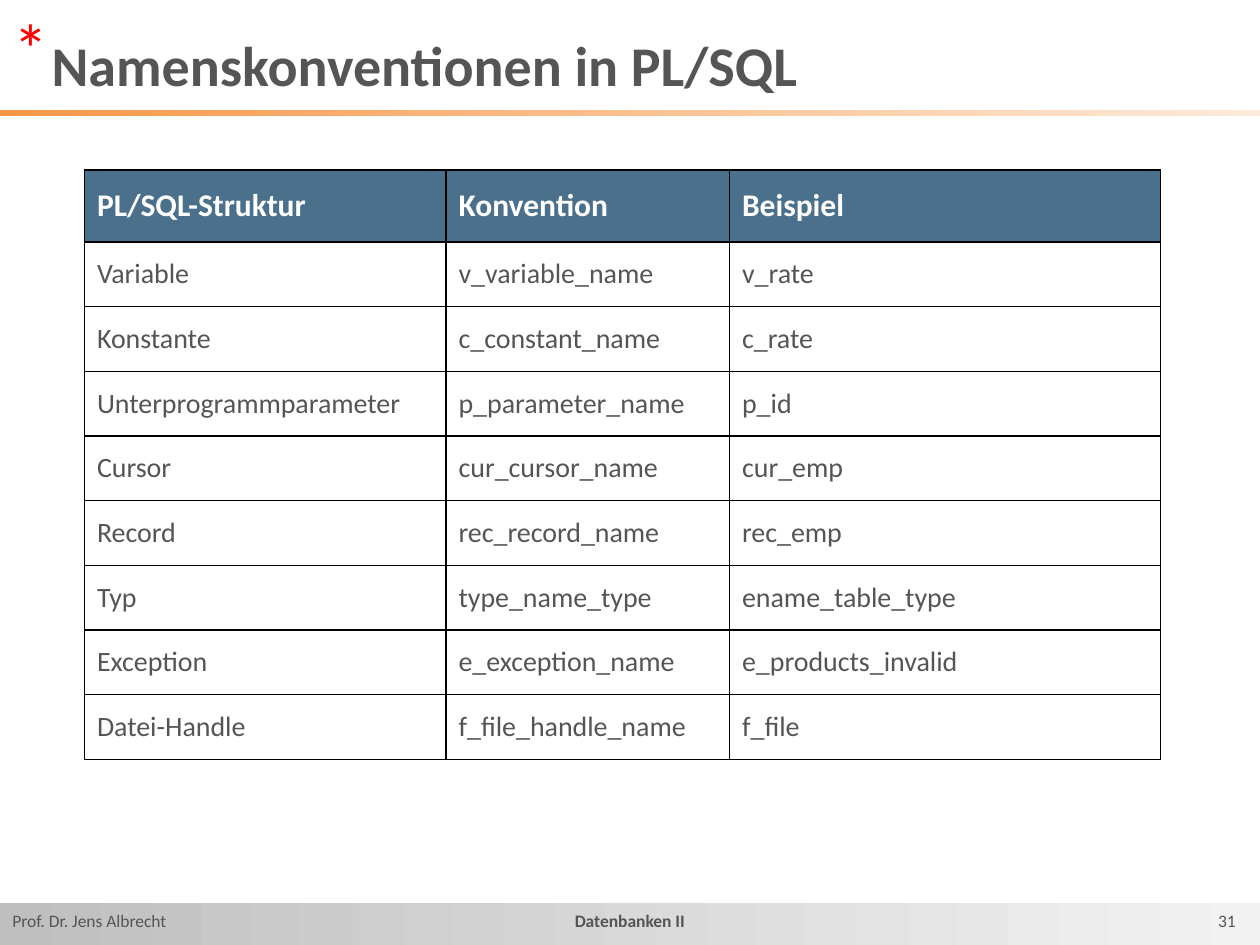
from lxml import etree
from pptx import Presentation
from pptx.dml.color import RGBColor
from pptx.enum.shapes import MSO_SHAPE
from pptx.enum.text import MSO_ANCHOR, PP_ALIGN
from pptx.oxml.ns import qn
from pptx.util import Inches, Pt

RECT = MSO_SHAPE.RECTANGLE
MIDDLE, TOP = MSO_ANCHOR.MIDDLE, MSO_ANCHOR.TOP
LEFT = PP_ALIGN.LEFT
COLORS = {
    "text": "555555", "white": "FFFFFF", "black": "000000", "red": "FF0000",
    "header": "4B708C", "orange": "F79646", "peach": "FDEADA",
    "gray": "BFBFBF", "light_gray": "F2F2F2",
}
ROWS = [
    ("PL/SQL-Struktur", "Konvention", "Beispiel"),
    ("Variable", "v_variable_name", "v_rate"),
    ("Konstante", "c_constant_name", "c_rate"),
    ("Unterprogrammparameter", "p_parameter_name", "p_id"),
    ("Cursor", "cur_cursor_name", "cur_emp"),
    ("Record", "rec_record_name", "rec_emp"),
    ("Typ", "type_name_type", "ename_table_type"),
    ("Exception", "e_exception_name", "e_products_invalid"),
    ("Datei-Handle", "f_file_handle_name", "f_file"),
]


def set_font(p, size, color, bold=False):
    p.alignment = LEFT
    p.font.name = "Calibri"
    p.font.size = Pt(size)
    p.font.bold = bold
    p.font.color.rgb = RGBColor.from_string(COLORS[color])


def add_band(s, top, height, start, end):
    band = s.shapes.add_shape(RECT, 0, Inches(top), Inches(10), Inches(height))
    band.shadow.inherit = False
    band.line.fill.background()
    band.fill.gradient()
    band.fill.gradient_angle = 0
    for stop, color in zip(band.fill.gradient_stops, (start, end)):
        stop.color.rgb = RGBColor.from_string(COLORS[color])
    return band


prs = Presentation()
prs.slide_width, prs.slide_height = Inches(10), Inches(7.5)
s = prs.slides.add_slide(prs.slide_layouts[5])

footer = add_band(s, 7.17, 0.33, "gray", "light_gray")
add_band(s, 0.87, 0.05, "orange", "peach")

tf = footer.text_frame
tf.word_wrap = False
tf.vertical_anchor = TOP
p = tf.paragraphs[0]
tabs = etree.SubElement(p._p.get_or_add_pPr(), qn("a:tabLst"))
for pos, align in ((4.9, "ctr"), (9.71, "r")):
    etree.SubElement(tabs, qn("a:tab"), pos=str(Inches(pos)), algn=align)
set_font(p, 10, "text")
for text, bold in (("Prof. Dr. Jens Albrecht\t", False), ("Datenbanken II\t", True), ("31", False)):
    r = p.add_run()
    r.text = text
    r.font.bold = bold

title = s.shapes.title
title.left, title.top = Inches(0.31), Inches(0.17)
title.width, title.height = Inches(7.76), Inches(0.67)
tf = title.text_frame
tf.text = "Namenskonventionen in PL/SQL"
tf.vertical_anchor = MIDDLE
set_font(tf.paragraphs[0], 32, "text", True)

table = s.shapes.add_table(
    len(ROWS), 3, Inches(0.67), Inches(1.35), Inches(8.54), Inches(4.68)).table
for column, width in zip(table.columns, (2.87, 2.25, 3.42)):
    column.width = Inches(width)
for i, values in enumerate(ROWS):
    is_header = i == 0
    table.rows[i].height = Inches(0.57 if is_header else (4.68 - 0.57) / (len(ROWS) - 1))
    for j, value in enumerate(values):
        cell = table.cell(i, j)
        cell.text = value
        cell.vertical_anchor = MIDDLE
        tcPr = cell._tc.get_or_add_tcPr()
        for side in ("a:lnL", "a:lnR", "a:lnT", "a:lnB"):
            ln = etree.SubElement(tcPr, qn(side), w=str(Pt(1)))
            fill = etree.SubElement(ln, qn("a:solidFill"))
            etree.SubElement(fill, qn("a:srgbClr"), val=COLORS["black"])
        cell.fill.solid()
        cell.fill.fore_color.rgb = RGBColor.from_string(COLORS["header" if is_header else "white"])
        p = cell.text_frame.paragraphs[0]
        if is_header:
            set_font(p, 18, "white", True)
        else:
            set_font(p, 16, "text")

tf = s.shapes.add_textbox(Inches(0.01), Inches(-0.01), Inches(0.66), Inches(0.77)).text_frame
tf.word_wrap = True
tf.text = "*"
set_font(tf.paragraphs[0], 40, "red")

prs.save("out.pptx")
